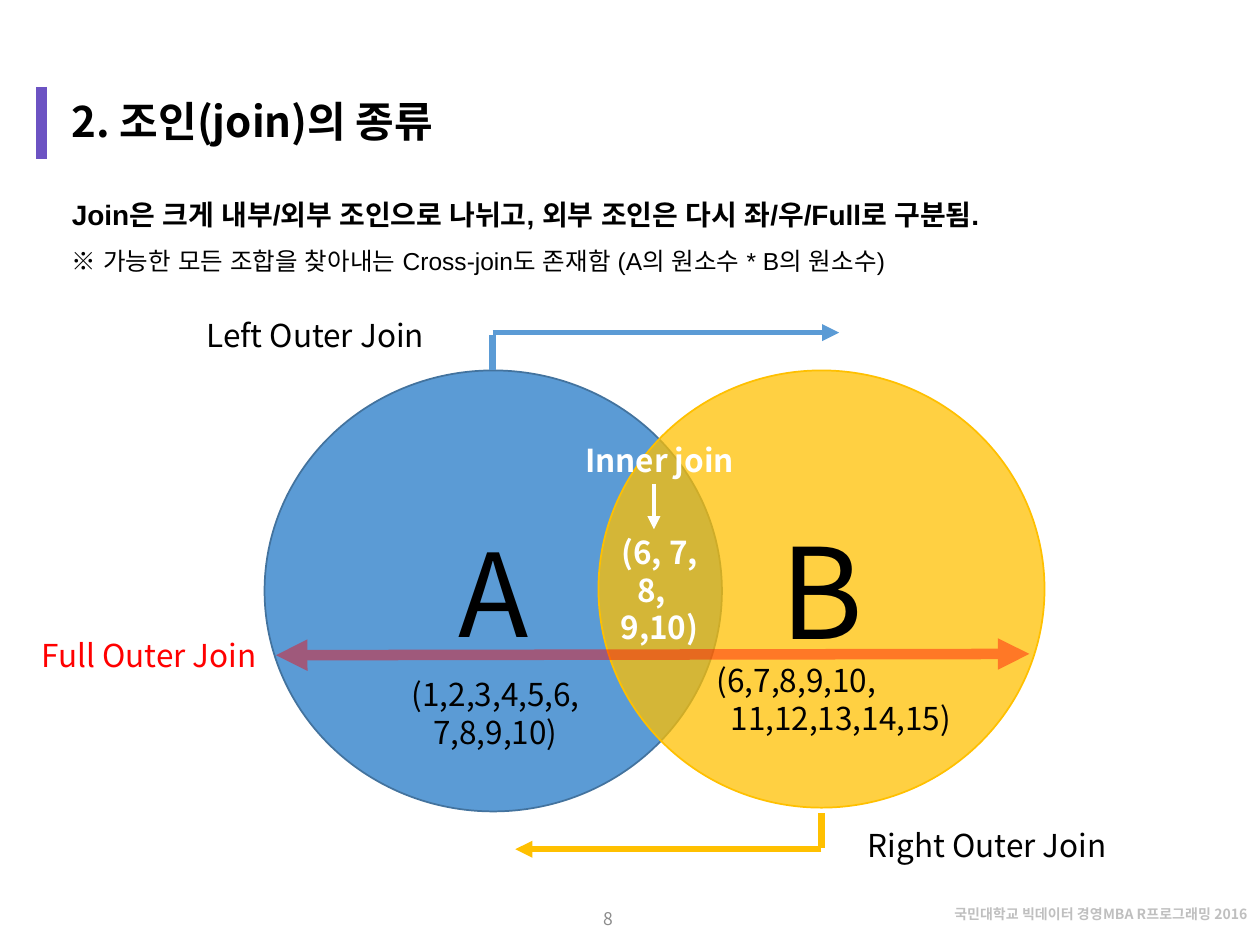
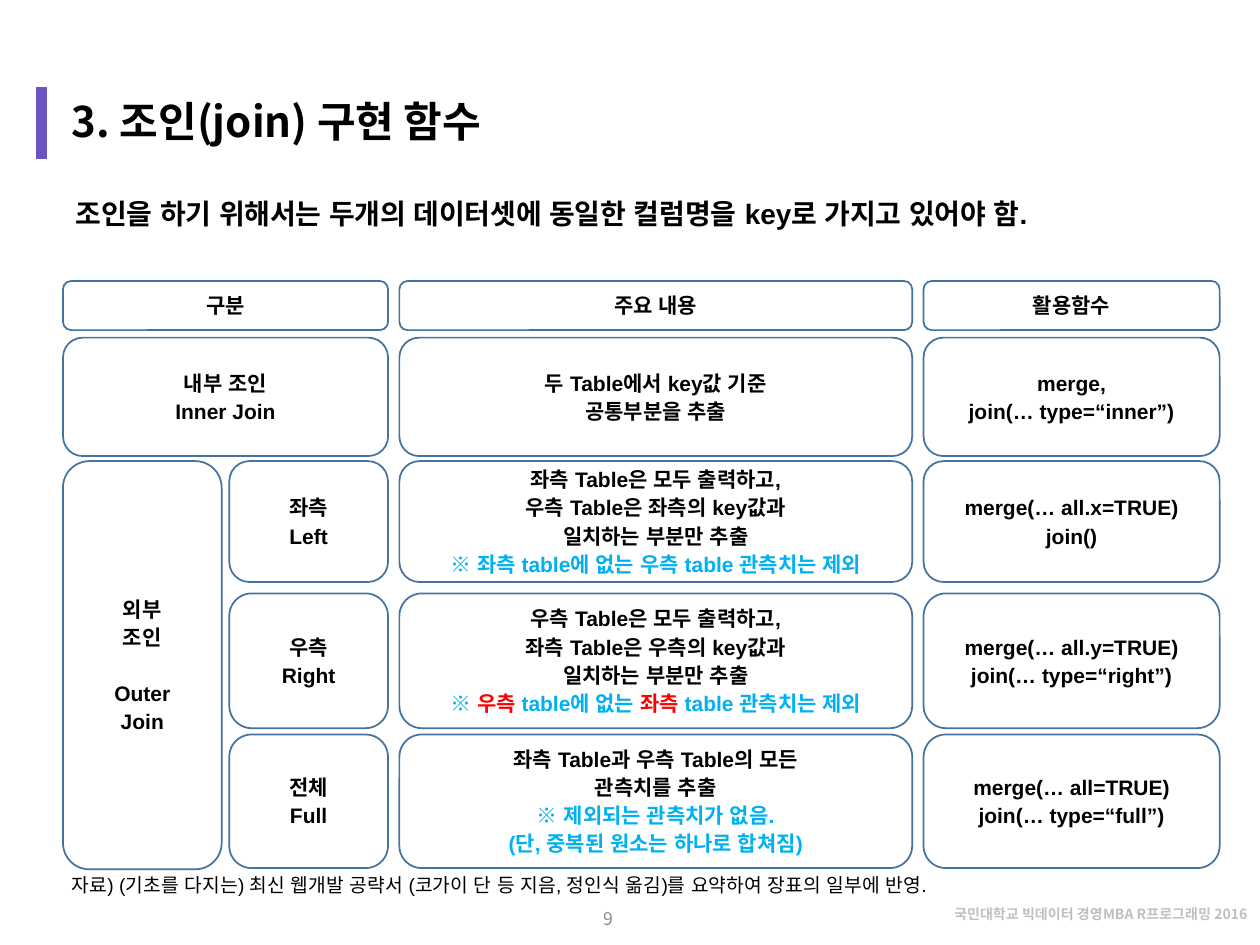
from dataclasses import dataclass, replace

from lxml import etree
from pptx import Presentation
from pptx import util as u
from pptx.dml.color import RGBColor
from pptx.enum import shapes, text
from pptx.oxml import ns
from pptx.util import Inches

COLORS = {
    "black": "000000", "white": "FFFFFF", "footer": "BFBFBF", "number": "8C8C8C",
    "accent": "6C53C3", "blue": "5B9BD5", "outline": "43739E", "yellow": "FFC000",
    "red": "FF0000", "note": "00B0F0",
}
SANS, KOREAN = "Arial", "Noto Sans CJK KR"
LEFT, CENTER, RIGHT = text.PP_ALIGN.LEFT, text.PP_ALIGN.CENTER, text.PP_ALIGN.RIGHT
TOP, MIDDLE = text.MSO_ANCHOR.TOP, text.MSO_ANCHOR.MIDDLE


@dataclass(frozen=True)
class Style:
    size: float
    font: str = KOREAN
    color: str = "black"
    bold: bool = False
    align: text.PP_ALIGN = LEFT
    before: float = 0
    spacing: float = 1.0
    indent: float = 0


@dataclass(frozen=True)
class Line:
    """One paragraph; runs are (wording, colour) pairs when colours differ."""
    runs: str | tuple[tuple[str, str], ...]
    style: Style


@dataclass(frozen=True)
class Box:
    left: float
    top: float
    width: float
    height: float

    def lengths(self) -> list[u.Length]:
        return [Inches(v) for v in (self.left, self.top, self.width, self.height)]


@dataclass(frozen=True)
class Stroke:
    start: tuple[float, float]
    end: tuple[float, float]
    color: str
    width: float
    head: bool = False
    tail: bool = False
    alpha: int = 100


@dataclass(frozen=True)
class Circle:
    box: Box
    letter: str
    size: float
    fill: str
    outline: str
    alpha: int = 100


TITLE = Style(24, bold=True)
FOOTER = Style(8, color="footer", bold=True, align=RIGHT, spacing=0.9)
NUMBER = Style(10, color="number", align=CENTER)
LEAD = Style(16, SANS, bold=True)
REMARK = Style(14, SANS, spacing=1.5)
SOURCE = Style(11, SANS)
LABEL = Style(18)
INNER = Style(18, color="white", bold=True, align=CENTER)
CELL = Style(12, SANS, bold=True, align=CENTER, before=1.7)
BLOCK_GAP = 17.2


def rgb(name: str) -> RGBColor:
    return RGBColor.from_string(COLORS[name])


def sub(parent, tag: str, **attributes: str):
    return etree.SubElement(parent, ns.qn(tag), attributes)


def set_alpha(fill_parent, percent: int) -> None:
    if percent < 100:
        color = fill_parent.find(".//" + ns.qn("a:srgbClr"))
        sub(color, "a:alpha", val=str(percent * 1000))


def write(frame, lines: list[Line], anchor: text.MSO_ANCHOR = TOP) -> None:
    frame.word_wrap = True
    frame.auto_size = text.MSO_AUTO_SIZE.NONE
    frame.vertical_anchor = anchor
    for index, line in enumerate(lines):
        paragraph = frame.paragraphs[0] if index == 0 else frame.add_paragraph()
        style = line.style
        paragraph.alignment = style.align
        paragraph.line_spacing = style.spacing
        paragraph.space_before = u.Pt(style.before if index else 0)
        properties = paragraph._p.get_or_add_pPr()
        properties.set("marL", str(Inches(style.indent)))
        properties.set("indent", "0")
        sub(properties, "a:buNone")
        font = paragraph.font
        font.size, font.bold, font.name = u.Pt(style.size), style.bold, style.font
        font.color.rgb = rgb(style.color)
        sub(font._rPr, "a:ea", typeface=style.font)
        if isinstance(line.runs, str):
            paragraph.add_run().text = line.runs
            continue
        for wording, color in line.runs:
            run = paragraph.add_run()
            run.text = wording
            run.font.color.rgb = rgb(color)


def add_text(slide, box: Box, lines: list[Line], anchor: text.MSO_ANCHOR = TOP) -> None:
    write(slide.shapes.add_textbox(*box.lengths()).text_frame, lines, anchor)


def fill_placeholder(holder, box: Box, lines: list[Line], anchor: text.MSO_ANCHOR) -> None:
    holder.left, holder.top, holder.width, holder.height = box.lengths()
    write(holder.text_frame, lines, anchor)


def add_stroke(slide, stroke: Stroke) -> None:
    ends = [Inches(v) for v in (*stroke.start, *stroke.end)]
    connector = slide.shapes.add_connector(shapes.MSO_CONNECTOR.STRAIGHT, *ends)
    connector.line.color.rgb = rgb(stroke.color)
    connector.line.width = u.Pt(stroke.width)
    properties = connector._element.spPr
    outline = properties.find(ns.qn("a:ln"))
    set_alpha(outline, stroke.alpha)
    if stroke.head:
        sub(outline, "a:headEnd", type="triangle")
    if stroke.tail:
        sub(outline, "a:tailEnd", type="triangle")
    sub(properties, "a:effectLst")


def add_outlined(slide, kind: shapes.MSO_SHAPE, box: Box, outline: str, lines: list[Line]):
    shape = slide.shapes.add_shape(kind, *box.lengths())
    shape.shadow.inherit = False
    shape.fill.background()
    shape.line.color.rgb = rgb(outline)
    shape.line.width = u.Pt(1)
    write(shape.text_frame, lines, MIDDLE)
    return shape


def add_circle(slide, circle: Circle) -> None:
    letter = Line(circle.letter, Style(circle.size, align=CENTER))
    shape = add_outlined(slide, shapes.MSO_SHAPE.OVAL, circle.box, circle.outline, [letter])
    shape.fill.solid()
    shape.fill.fore_color.rgb = rgb(circle.fill)
    set_alpha(shape._element.spPr.find(ns.qn("a:solidFill")), circle.alpha)


def add_cell(slide, box: Box, lines: list[Line]) -> None:
    add_outlined(slide, shapes.MSO_SHAPE.ROUNDED_RECTANGLE, box, "outline", lines)


def add_page(prs, number: int, title: str, lead_box: Box, lead: list[Line]):
    """Add a slide with its title, lead text, accent bar, footer and number."""
    slide = prs.slides.add_slide(prs.slide_layouts[1])
    add_text(slide, Box(6.87, 7.15, 3.13, 0.28),
             [Line("국민대학교 빅데이터 경영MBA R프로그래밍 2016", FOOTER)])
    add_stroke(slide, Stroke((0.33, 0.69), (0.33, 1.26), "accent", 6))
    add_text(slide, Box(3.7, 7.09, 2.25, 0.4), [Line(str(number), NUMBER)], MIDDLE)
    fill_placeholder(slide.shapes.title, Box(0.47, 0.76, 9.03, 0.39),
                     [Line(title, TITLE)], MIDDLE)
    fill_placeholder(slide.placeholders[1], lead_box, lead, TOP)
    return slide


def build_join_types(prs) -> None:
    slide = add_page(prs, 8, "2. 조인(join)의 종류", Box(0.47, 1.52, 8.83, 0.72), [
        Line("Join은 크게 내부/외부 조인으로 나뉘고, 외부 조인은 다시 좌/우/Full로 구분됨.", LEAD),
        Line("※ 가능한 모든 조합을 찾아내는 Cross-join도 존재함 (A의 원소수 * B의 원소수)", REMARK),
    ])
    for circle in (
        Circle(Box(2.1, 2.94, 3.63, 3.5), "A", 66, "blue", "outline"),
        Circle(Box(4.75, 2.94, 3.54, 3.47), "B", 72, "yellow", "yellow", 74),
    ):
        add_circle(slide, circle)

    for box, lines in (
        (Box(4.51, 3.45, 1.45, 0.4), [Line("Inner join", INNER)]),
        (Box(3.17, 5.31, 1.63, 0.71),
         [Line("(1,2,3,4,5,6,", LABEL), Line("7,8,9,10)", replace(LABEL, indent=0.17))]),
        (Box(5.59, 5.2, 2.58, 0.71),
         [Line("(6,7,8,9,10,", LABEL), Line("11,12,13,14,15)", replace(LABEL, indent=0.11))]),
        (Box(4.75, 4.18, 0.97, 1.01),
         [Line("(6, 7,", INNER), Line("8,", replace(INNER, align=LEFT, indent=0.21)),
          Line("9,10)", INNER)]),
        (Box(1.54, 2.46, 2.16, 0.4), [Line("Left Outer Join", LABEL)]),
        (Box(6.79, 6.51, 2.16, 0.4), [Line("Right Outer Join", LABEL)]),
        (Box(0.23, 5, 2.16, 0.4), [Line("Full Outer Join", replace(LABEL, color="red"))]),
    ):
        add_text(slide, box, lines)

    for stroke in (
        Stroke((5.19, 3.84), (5.19, 4.2), "white", 2.5, tail=True),
        Stroke((3.91, 2.64), (6.66, 2.64), "blue", 3.25, tail=True),
        Stroke((6.52, 6.74), (4.09, 6.74), "yellow", 3.25, tail=True),
        Stroke((2.19, 5.2), (8.17, 5.19), "red", 6, head=True, tail=True, alpha=42),
        Stroke((3.91, 2.94), (3.91, 2.66), "blue", 3.75),
        Stroke((6.52, 6.73), (6.52, 6.45), "yellow", 3.75),
    ):
        add_stroke(slide, stroke)


def cell_lines(*wordings: str) -> list[Line]:
    """Lines of one cell; from the ※ line on, the wording takes the note colour."""
    lines, style = [], CELL
    for wording in wordings:
        if wording.startswith("※"):
            style = replace(CELL, color="note")
        lines.append(Line(wording, style))
    return lines


def build_join_functions(prs) -> None:
    slide = add_page(prs, 9, "3. 조인(join) 구현 함수", Box(0.5, 1.51, 9.18, 0.37), [
        Line("조인을 하기 위해서는 두개의 데이터셋에 동일한 컬럼명을 key로 가지고 있어야 함.", LEAD),
    ])
    add_text(slide, Box(0.47, 6.88, 8.57, 0.29), [Line(
        "자료) (기초를 다지는) 최신 웹개발 공략서 (코가이 단 등 지음, 정인식 옮김)를 요약하여 장표의 일부에 반영.",
        SOURCE)])

    kind_column, outer_kind_column = (0.5, 2.58), (1.82, 1.26)
    content_column, function_column = (3.17, 4.07), (7.33, 2.35)
    right_note = Line((("※ ", "note"), ("우측 ", "red"), ("table에 없는 ", "note"),
                       ("좌측 ", "red"), ("table 관측치는 제외", "note")), CELL)
    rows = (
        (2.23, 0.39, kind_column, cell_lines("구분"), cell_lines("주요 내용"),
         cell_lines("활용함수")),
        (2.68, 0.94, kind_column, cell_lines("내부 조인", "Inner Join"),
         cell_lines("두 Table에서 key값 기준", "공통부분을 추출"),
         cell_lines("merge,", "join(… type=“inner”)")),
        (3.66, 0.96, outer_kind_column, cell_lines("좌측", "Left"),
         cell_lines("좌측 Table은 모두 출력하고,", "우측 Table은 좌측의 key값과",
                    "일치하는 부분만 추출", "※ 좌측 table에 없는 우측 table 관측치는 제외"),
         cell_lines("merge(… all.x=TRUE)", "join()")),
        (4.71, 1.07, outer_kind_column, cell_lines("우측", "Right"),
         cell_lines("우측 Table은 모두 출력하고,", "좌측 Table은 우측의 key값과",
                    "일치하는 부분만 추출") + [right_note],
         cell_lines("merge(… all.y=TRUE)", "join(… type=“right”)")),
        (5.83, 1.06, outer_kind_column, cell_lines("전체", "Full"),
         cell_lines("좌측 Table과 우측 Table의 모든", "관측치를 추출",
                    "※ 제외되는 관측치가 없음.", "(단, 중복된 원소는 하나로 합쳐짐)"),
         cell_lines("merge(… all=TRUE)", "join(… type=“full”)")),
    )
    for top, height, first_column, *cells in rows:
        for (left, width), lines in zip((first_column, content_column, function_column), cells):
            add_cell(slide, Box(left, top, width, height), lines)

    outer_join = cell_lines("외부", "조인", "Outer", "Join")
    outer_join[2] = Line("Outer", replace(CELL, before=BLOCK_GAP))
    add_cell(slide, Box(0.5, 3.66, 1.26, 3.24), outer_join)


def main() -> None:
    prs = Presentation()
    prs.slide_width, prs.slide_height = Inches(10), Inches(7.5)
    build_join_types(prs)
    build_join_functions(prs)
    prs.save("out.pptx")


if __name__ == "__main__":
    main()
